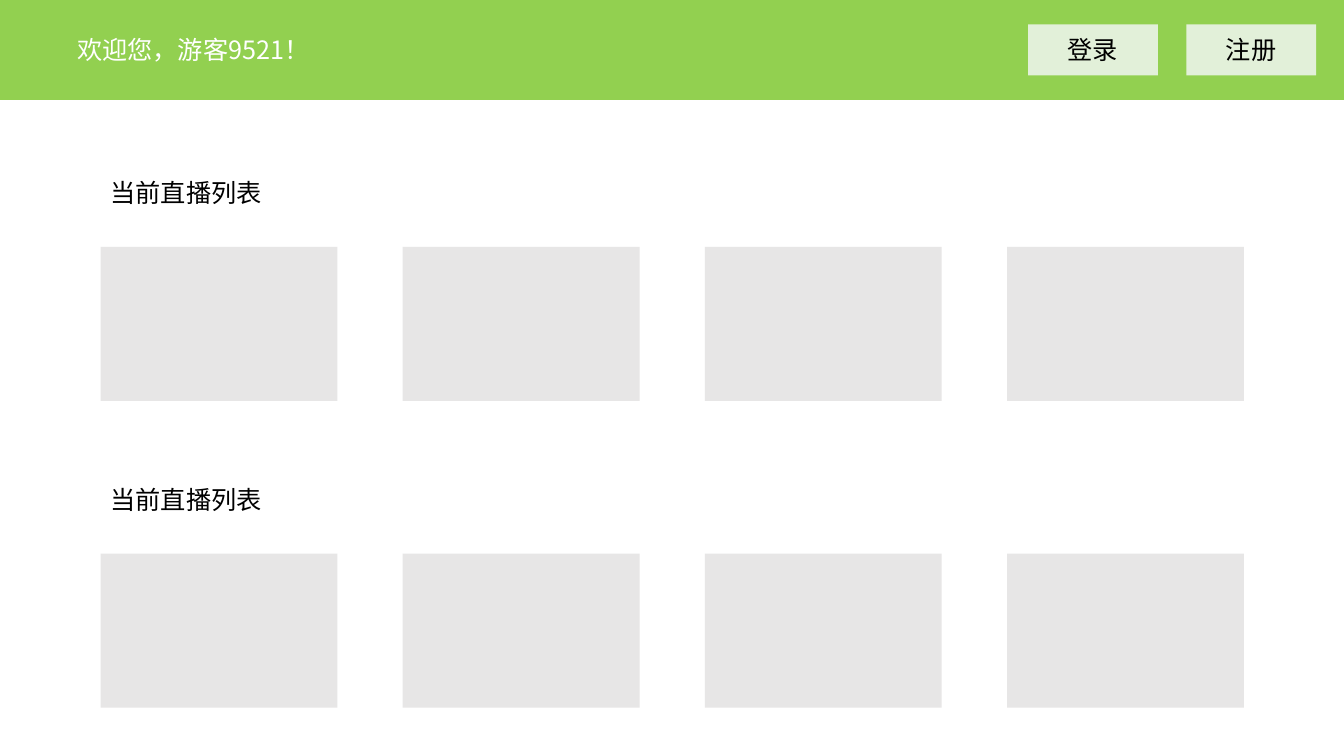
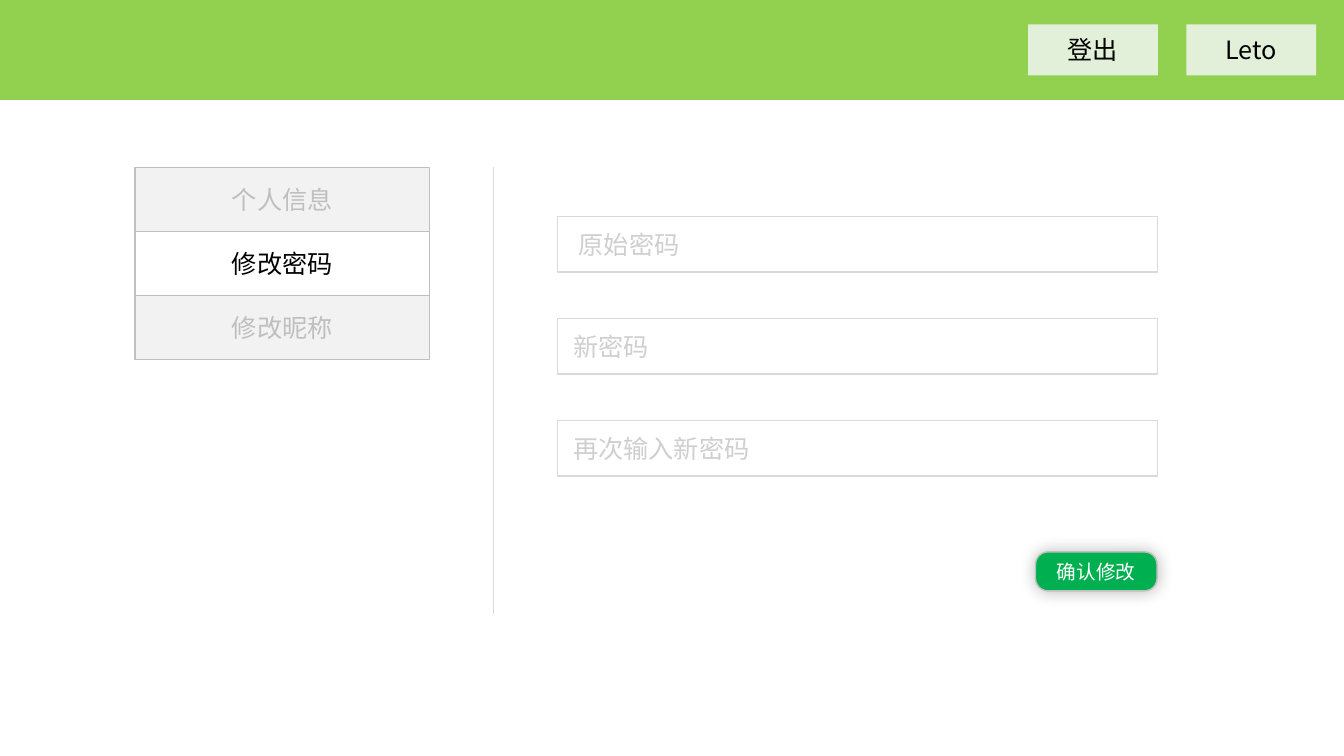
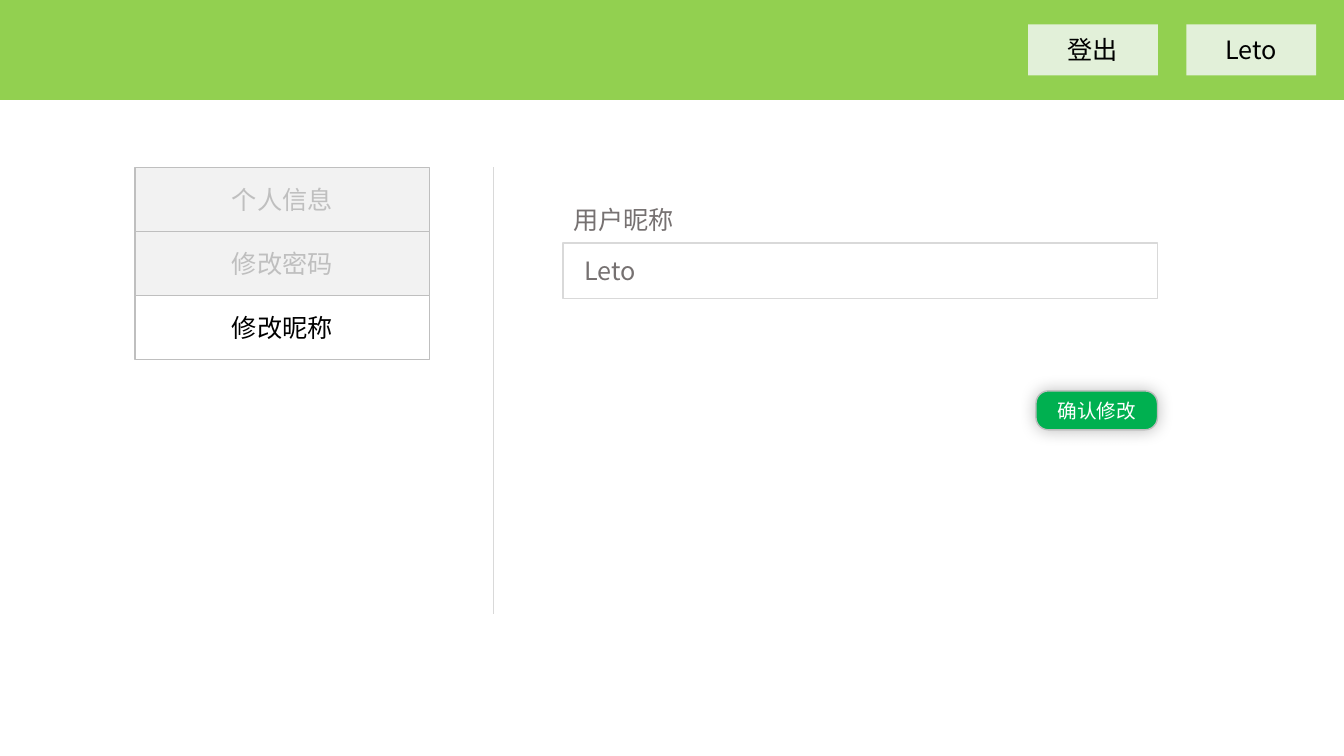
from dataclasses import dataclass, replace
from typing import Optional, Union

from lxml import etree
from pptx import Presentation, util as u
from pptx.dml import color
from pptx.enum import shapes as kinds, text
from pptx.oxml import ns
from pptx.shapes import autoshape, shapetree
from pptx.slide import Slide

Pt = u.Pt
Canvas = Union[shapetree.SlideShapes, shapetree.GroupShapes]

FONT = "Noto Sans CJK SC"
COLORS = {
    "band": "92D050", "nav": "E2F0D9", "card": "E7E6E6", "confirm": "00B050",
    "ink": "000000", "paper": "FFFFFF", "muted": "F2F2F2", "border": "BFBFBF",
    "rule": "D9D9D9", "hint": "D0CECE", "value": "767171",
}
PAGE_WIDTH, PAGE_HEIGHT = 960, 540
INSET = 7.2
HINT_INDENT = 4
MENU = ("个人信息", "修改密码", "修改昵称")


@dataclass(frozen=True)
class Box:
    """Position and size in points."""
    left: float
    top: float
    width: float
    height: float


@dataclass(frozen=True)
class Label:
    """Wording with its look."""
    wording: str
    ink: str = "ink"
    size: float = 18
    centred: bool = True
    indent: float = 0


@dataclass(frozen=True)
class Field:
    """One input box of a form."""
    box: Box
    label: Label


BAND = Box(0, 0, PAGE_WIDTH, 71.4)
NAV_BUTTON = Box(734.4, 17.4, 92.7, 36.5)
NAV_STEP = 113
CARD = Box(71.8, 176.4, 169.2, 110)
CARD_STEP = 215.85
CARDS_PER_ROW = 4
LIST_TOPS = (123.2, 342.4)
CARD_DROP = 53.1
MENU_ITEM = Box(96.5, 119.6, 210.4, 45.7)
PASSWORD_BOX = Box(398.2, 154.7, 428.6, 39.7)
PASSWORD_STEP = 72.8


def write(frame: text.MSO_ANCHOR, label: Label) -> None:
    """Put a label into a text frame and format it."""
    frame.word_wrap = True
    frame.margin_left = Pt(INSET + label.indent)
    frame.text = label.wording
    paragraph = frame.paragraphs[0]
    paragraph.alignment = text.PP_ALIGN.CENTER if label.centred else text.PP_ALIGN.LEFT
    for run in paragraph.runs:
        run.font.size = Pt(label.size)
        run.font.name = FONT
        run.font.color.rgb = color.RGBColor.from_string(COLORS[label.ink])
        east_asian = etree.SubElement(run.font._element, ns.qn("a:ea"))
        east_asian.set("typeface", FONT)


def panel(canvas: Canvas, box: Box, fill: str, line: Optional[str] = None,
          label: Optional[Label] = None, rounded: bool = False) -> autoshape.Shape:
    """Draw a filled rectangle, optionally outlined, labelled or rounded."""
    preset = kinds.MSO_SHAPE.ROUNDED_RECTANGLE if rounded else kinds.MSO_SHAPE.RECTANGLE
    shape = canvas.add_shape(preset, Pt(box.left), Pt(box.top), Pt(box.width), Pt(box.height))
    shape.shadow.inherit = False
    shape.fill.solid()
    shape.fill.fore_color.rgb = color.RGBColor.from_string(COLORS[fill])
    if line:
        shape.line.color.rgb = color.RGBColor.from_string(COLORS[line])
        shape.line.width = Pt(1)
    else:
        shape.line.fill.background()
    if label:
        shape.text_frame.vertical_anchor = text.MSO_ANCHOR.MIDDLE
        write(shape.text_frame, label)
    return shape


def caption(canvas: Canvas, box: Box, label: Label) -> None:
    """Add free-standing text."""
    frame = canvas.add_textbox(Pt(box.left), Pt(box.top), Pt(box.width), Pt(box.height)).text_frame
    write(frame, replace(label, centred=False))
    frame.auto_size = text.MSO_AUTO_SIZE.SHAPE_TO_FIT_TEXT


def header(slide: Slide, actions: tuple[str, ...]) -> None:
    """Draw the top band and its buttons."""
    panel(slide.shapes, BAND, "band")
    for index, action in enumerate(actions):
        place = replace(NAV_BUTTON, left=NAV_BUTTON.left + index * NAV_STEP)
        panel(slide.shapes, place, "nav", label=Label(action))


def live_list(slide: Slide, heading: str, top: float) -> None:
    """Draw a heading above a row of stream cards."""
    row = slide.shapes.add_group_shape().shapes
    for column in range(CARDS_PER_ROW):
        place = replace(CARD, left=CARD.left + column * CARD_STEP, top=top + CARD_DROP)
        panel(row, place, "card")
    caption(slide.shapes, Box(CARD.left, top, 231, 29), Label(heading))


def settings_menu(slide: Slide, current: str) -> None:
    """Draw the side menu with the current item lit, and the divider."""
    menu = slide.shapes.add_group_shape().shapes
    for index, item in enumerate(MENU):
        place = replace(MENU_ITEM, top=MENU_ITEM.top + index * MENU_ITEM.height)
        fill, ink = ("paper", "ink") if item == current else ("muted", "border")
        panel(menu, place, fill, "border", Label(item, ink))
    divider = slide.shapes.add_connector(
        kinds.MSO_CONNECTOR.STRAIGHT, Pt(352.6), Pt(119.6), Pt(352.6), Pt(438.4))
    divider.line.color.rgb = color.RGBColor.from_string(COLORS["rule"])
    divider.line.width = Pt(0.5)
    etree.SubElement(divider._element.spPr, ns.qn("a:effectLst"))


def confirm_button(slide: Slide, left: float, top: float, opacity: int) -> None:
    """Draw the rounded confirm button with its soft glow of shadow."""
    button = panel(slide.shapes, Box(left, top, 86.8, 27.8), "confirm", "border",
                   Label("确认修改", "paper", 14), rounded=True)
    button.adjustments[0] = 0.32
    effects = button._element.spPr.find(ns.qn("a:effectLst"))
    shadow = etree.SubElement(effects, ns.qn("a:outerShdw"), blurRad=str(Pt(12)),
                              dist="0", dir="0", algn="ctr", rotWithShape="0")
    tint = etree.SubElement(shadow, ns.qn("a:srgbClr"), val=COLORS["ink"])
    etree.SubElement(tint, ns.qn("a:alpha"), val=str(opacity * 1000))


def settings_page(slide: Slide, current: str, fields: list[Field]) -> None:
    """Draw what every settings page shares, and its input fields."""
    header(slide, ("登出", "Leto"))
    settings_menu(slide, current)
    for field in fields:
        panel(slide.shapes, field.box, "paper", "rule", field.label)


def main() -> None:
    """Build the three pages and save them."""
    deck = Presentation()
    deck.slide_width, deck.slide_height = Pt(PAGE_WIDTH), Pt(PAGE_HEIGHT)
    home, password, nickname = (deck.slides.add_slide(deck.slide_layouts[6]) for _ in range(3))

    header(home, ("登录", "注册"))
    caption(home.shapes, Box(48, 21.2, 240, 29), Label("欢迎您，游客9521！", "paper"))
    for top in LIST_TOPS:
        live_list(home, "当前直播列表", top)

    hints = (("原始密码", 2), ("新密码", 1), ("再次输入新密码", 1))
    settings_page(password, "修改密码", [
        Field(replace(PASSWORD_BOX, top=PASSWORD_BOX.top + index * PASSWORD_STEP),
              Label(hint, "hint", centred=False, indent=steps * HINT_INDENT))
        for index, (hint, steps) in enumerate(hints)])
    confirm_button(password, 739.7, 394.2, 28)

    settings_page(nickname, "修改昵称", [
        Field(Box(402.2, 173.6, 424.6, 39.7),
              Label("Leto", "value", centred=False, indent=2 * HINT_INDENT))])
    confirm_button(nickname, 740, 279.2, 26)
    caption(nickname.shapes, Box(398.2, 142.6, 101.5, 29),
            Label("用户昵称", "value", indent=HINT_INDENT))

    deck.save("out.pptx")


main()
